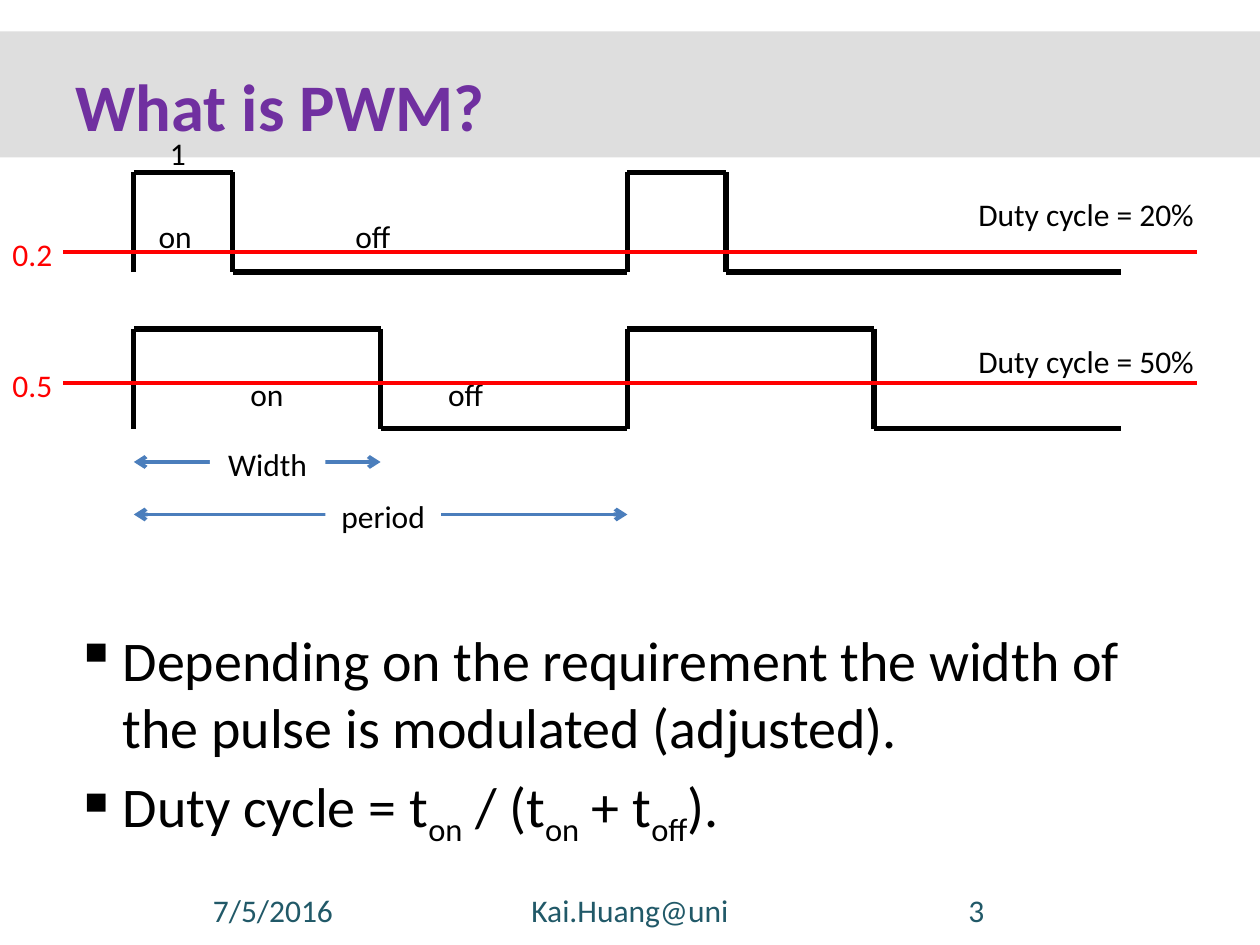
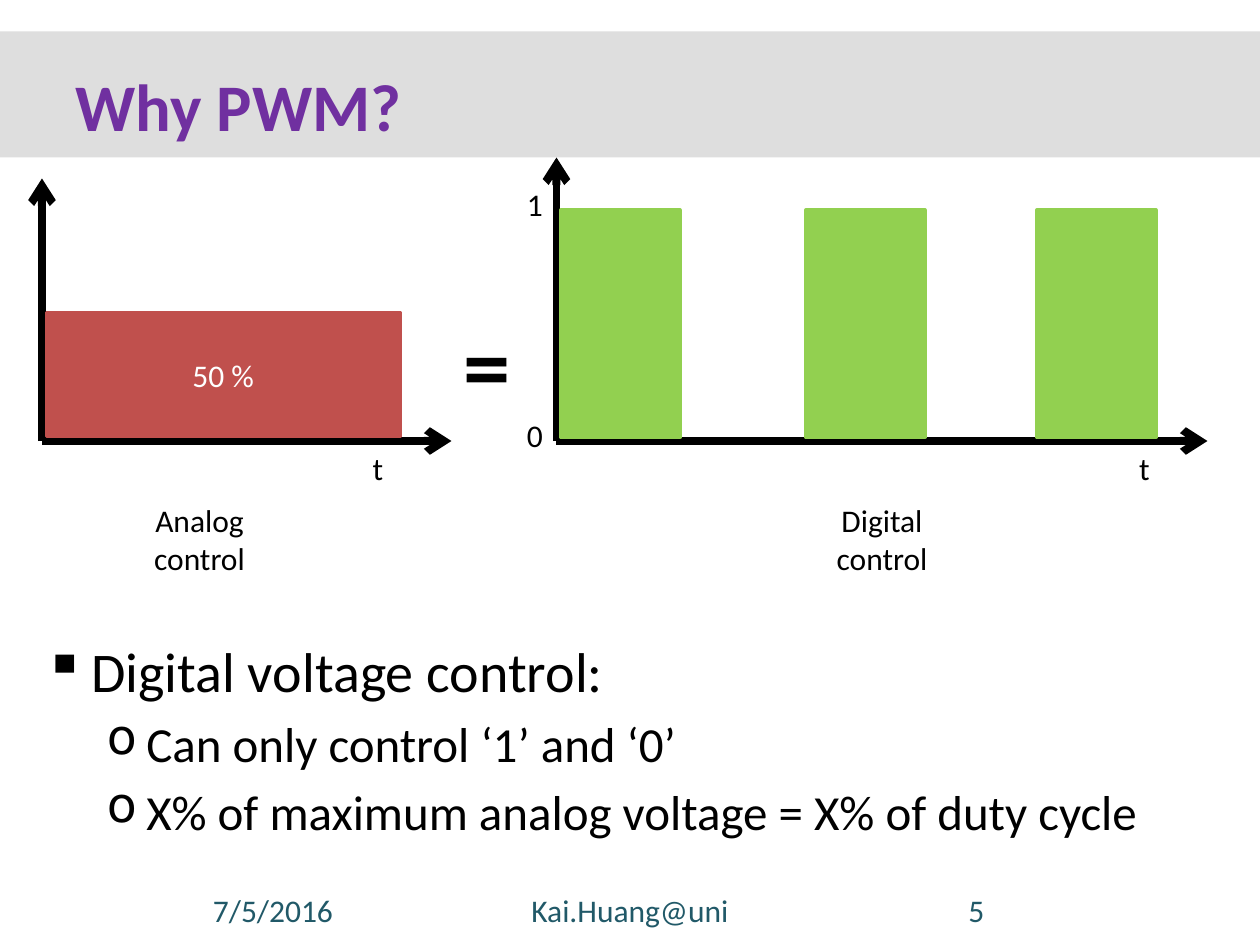
"""Build two slides that explain pulse width modulation."""
from lxml import etree
from pptx import Presentation
from pptx import util as u
from pptx.dml.color import RGBColor
from pptx.enum import shapes, text
from pptx.oxml.ns import qn

FONT = "Calibri"
BLACK, WHITE, RED, BLUE = "000000", "FFFFFF", "FF0000", "4B7EBC"
PURPLE, TEAL, GREY, BRICK, GREEN = "7030A0", "215968", "DEDEDE", "C0504D", "92D050"
LEFT, CENTER = text.PP_ALIGN.LEFT, text.PP_ALIGN.CENTER
RECTANGLE = shapes.MSO_SHAPE.RECTANGLE
ROUNDED = shapes.MSO_SHAPE.ROUNDED_RECTANGLE

BAND = (0, 18, 720, 72)
TITLE_BOX = (36, 30, 648, 60)
FOOTER_TOP = 505.5
FOOTERS = [("7/5/2016", 78, 156), ("Kai.Huang@uni", 246, 228)]
NUMBER_LEFT, NUMBER_WIDTH = 486, 144
LINE_HEIGHT = 29

LEVELS = [("▪", 32, 27, -27), ("o", 28, 58.5, -22.5)]

WAVE_LEFT, PERIOD, CYCLES, AMPLITUDE = 76.5, 282, 2, 57
WAVES = [
    {"duty": 0.2, "top": 98.5, "mean": 144, "caption": 108, "label": 120.25, "on": 83.5, "off": 196},
    {"duty": 0.5, "top": 188, "mean": 219, "caption": 192, "label": 211, "on": 136, "off": 249},
]
SPANS = [("Width", 0.5, 264, 120), ("period", 1, 294, 186)]
PWM_BULLETS = [
    (0, "Depending on the requirement the width of the pulse is modulated (adjusted)."),
    (0, "Duty cycle = t|on| / (t|on| + t|off|)."),
]

BASELINE = 252
AXES = [
    {"left": 24, "top": 102, "right": 258, "t": 162, "name": "Analog control", "name_left": 66},
    {"left": 318, "top": 90, "right": 690, "t": 600, "name": "Digital control", "name_left": 456},
]
ANALOG_BAR = (26.5, 178.5, 202, 71)
PULSE_LEFTS, PULSE_TOP, PULSE_WIDTH, PULSE_HEIGHT = (320.5, 460.5, 592.5), 120, 68, 130
LEVEL_MARKS = [("1", 102), ("0", 234)]
WHY_BULLETS = [
    (0, "Digital voltage control:"),
    (1, "Can only control ‘1’ and ‘0’"),
    (1, "X% of maximum analog voltage = X% of duty cycle"),
]


def color(value):
    """Turn a hex string into a colour."""
    return RGBColor.from_string(value)


def points(values):
    """Turn numbers into lengths in points."""
    return [u.Pt(value) for value in values]


def style(paragraph, size, ink=BLACK, bold=False, align=LEFT):
    """Format a paragraph and all its runs."""
    paragraph.alignment = align
    for run in paragraph.runs:
        run.font.name, run.font.size, run.font.bold = FONT, u.Pt(size), bold
        run.font.color.rgb = color(ink)


def add_text(slide, content, box, size=18, ink=BLACK, bold=False, align=LEFT):
    """Add a wrapping text box."""
    frame = slide.shapes.add_textbox(*points(box)).text_frame
    frame.word_wrap = True
    frame.text = content
    style(frame.paragraphs[0], size, ink, bold, align)


def add_block(slide, kind, box, fill, content="", ink=BLACK, outlined=False):
    """Add a filled shape with optional centred text."""
    shape = slide.shapes.add_shape(kind, *points(box))
    shape.shadow.inherit = False
    shape.fill.solid()
    shape.fill.fore_color.rgb = color(fill)
    if outlined:
        shape.line.color.rgb = color(fill)
        shape.line.width = u.Pt(2)
    else:
        shape.line.fill.background()
    if content:
        shape.text_frame.text = content
        shape.text_frame.vertical_anchor = text.MSO_ANCHOR.MIDDLE
        style(shape.text_frame.paragraphs[0], 18, ink, align=CENTER)
    return shape


def add_line(slide, start, end, ink=BLACK, width=3, arrows=()):
    """Add a straight line with arrowheads at the named ends."""
    connector = slide.shapes.add_connector(
        shapes.MSO_CONNECTOR.STRAIGHT, *points((*start, *end)))
    connector.line.color.rgb = color(ink)
    connector.line.width = u.Pt(width)
    for end_name in arrows:
        etree.SubElement(connector.line._get_or_add_ln(), qn(f"a:{end_name}"), type="arrow")
    etree.SubElement(connector.element.spPr, qn("a:effectLst"))


def add_bullets(slide, bullets, box):
    """Add a bulleted list where every second part between bars is a subscript."""
    frame = slide.shapes.add_textbox(*points(box)).text_frame
    frame.word_wrap = True
    for index, (level, content) in enumerate(bullets):
        paragraph = frame.paragraphs[0] if index == 0 else frame.add_paragraph()
        mark, size, margin, indent = LEVELS[level]
        for position, part in enumerate(content.split("|")):
            run = paragraph.add_run()
            run.text = part
            if position % 2:
                run._r.get_or_add_rPr().set("baseline", "-25000")
        style(paragraph, size)
        paragraph.level = level
        paragraph.space_before = u.Pt(size * 0.2)
        properties = paragraph._p.get_or_add_pPr()
        properties.set("marL", str(u.Pt(margin)))
        properties.set("indent", str(u.Pt(indent)))
        etree.SubElement(properties, qn("a:buChar"), char=mark)


def add_base(presentation, title, number):
    """Add a slide with the band, the title and the footer."""
    slide = presentation.slides.add_slide(presentation.slide_layouts[5])
    heading = slide.shapes.title
    heading.left, heading.top, heading.width, heading.height = points(TITLE_BOX)
    heading.text_frame.text = title
    heading.text_frame.vertical_anchor = text.MSO_ANCHOR.MIDDLE
    style(heading.text_frame.paragraphs[0], 38, PURPLE, bold=True)
    band = add_block(slide, RECTANGLE, BAND, GREY)
    band.element.addnext(heading.element)
    for content, left, width in FOOTERS + [(str(number), NUMBER_LEFT, NUMBER_WIDTH)]:
        add_text(slide, content, (left, FOOTER_TOP, width, LINE_HEIGHT), ink=TEAL, align=CENTER)
    return slide


def add_wave(slide, wave):
    """Draw a pulse wave with its labels and its mean level."""
    high, low = wave["top"], wave["top"] + AMPLITUDE
    corners = []
    for cycle in range(CYCLES):
        rise = WAVE_LEFT + cycle * PERIOD
        fall = rise + wave["duty"] * PERIOD
        corners += [(rise, low), (rise, high), (fall, high), (fall, low)]
    corners.append((WAVE_LEFT + CYCLES * PERIOD, low))
    for start, end in zip(corners, corners[1:]):
        add_line(slide, start, end)
    for state in ("on", "off"):
        add_text(slide, state, (wave[state], wave["label"], 60, LINE_HEIGHT))
    add_text(slide, f"Duty cycle = {wave['duty']:.0%}", (552, wave["caption"], 150, LINE_HEIGHT))
    add_line(slide, (36, wave["mean"]), (684, wave["mean"]), RED, 2.25)
    add_text(slide, str(wave["duty"]), (0, wave["mean"] - 13.5, 42, LINE_HEIGHT), ink=RED)


def build_what(presentation):
    """Build the slide with the two pulse waves."""
    slide = add_base(presentation, "What is PWM?", 3)
    add_bullets(slide, PWM_BULLETS, (36, 354, 648, 144))
    for wave in WAVES:
        add_wave(slide, wave)
    for name, share, middle, label_left in SPANS:
        add_line(slide, (WAVE_LEFT, middle), (WAVE_LEFT + share * PERIOD, middle),
                 BLUE, 2.25, ("headEnd", "tailEnd"))
        add_block(slide, ROUNDED, (label_left, middle - 14, 66, 30), WHITE, name)
    add_text(slide, "1", (90, 73, 21, LINE_HEIGHT))


def build_why(presentation):
    """Build the slide that compares analog and digital control."""
    slide = add_base(presentation, "Why PWM?", 5)
    for axis in AXES:
        origin = (axis["left"], BASELINE)
        for tip in ((axis["left"], axis["top"]), (axis["right"], BASELINE)):
            add_line(slide, origin, tip, width=4.5, arrows=("tailEnd",))
        add_text(slide, "t", (axis["t"], BASELINE + 1, 108, LINE_HEIGHT), align=CENTER)
        add_text(slide, axis["name"], (axis["name_left"], 283, 96, 51), align=CENTER)
    add_block(slide, RECTANGLE, ANALOG_BAR, BRICK, "50 %", WHITE, outlined=True)
    for left in PULSE_LEFTS:
        add_block(slide, RECTANGLE, (left, PULSE_TOP, PULSE_WIDTH, PULSE_HEIGHT), GREEN,
                  outlined=True)
    for mark, top in LEVEL_MARKS:
        add_text(slide, mark, (294, top, 30, 30))
    add_text(slide, "=", (258, 171.5, 24, 73), 54, bold=True)
    add_bullets(slide, WHY_BULLETS, (18, 360, 666, 120))


def main():
    """Build and save the presentation."""
    presentation = Presentation()
    presentation.slide_width, presentation.slide_height = points((720, 540))
    build_what(presentation)
    build_why(presentation)
    presentation.save("out.pptx")


if __name__ == "__main__":
    main()
